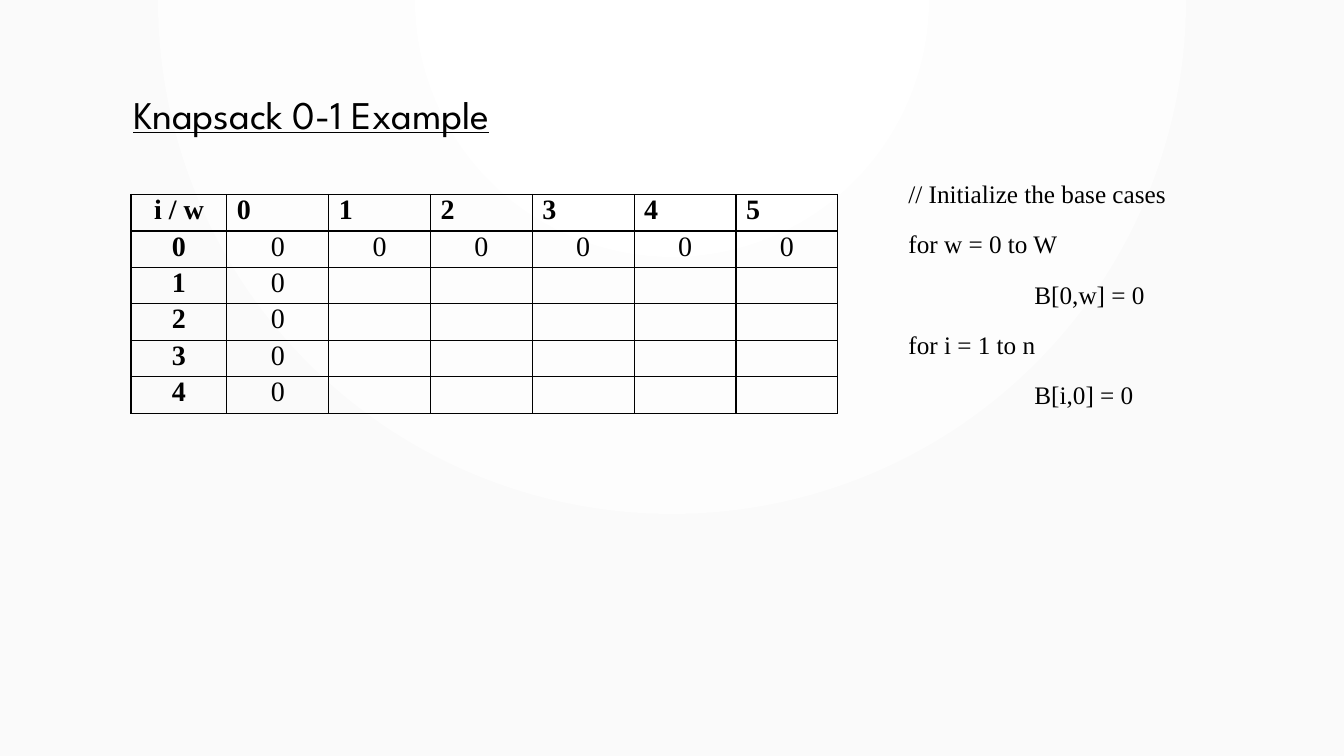
from lxml import etree
from pptx import Presentation
from pptx.dml.color import RGBColor
from pptx.enum.text import MSO_ANCHOR, MSO_AUTO_SIZE, PP_ALIGN
from pptx.oxml import parse_xml
from pptx.oxml.ns import nsdecls, qn
from pptx.util import Inches, Pt

COLORS = {"ink": "000000", "center": "FFFFFF", "edge": "FAFAFA"}
SERIF = "Times New Roman"
CAPACITIES = range(6)
ITEMS = range(5)
CODE = [
    ("// Initialize the base cases", False),
    ("for w = 0 to W", False),
    ("B[0,w] = 0", True),
    ("for i = 1 to n", False),
    ("B[i,0] = 0", True),
]


def write(para, text, font=SERIF, size=20, bold=False, underline=False,
          align=PP_ALIGN.LEFT, spacing=1.0):
    """Add one formatted run to a paragraph."""
    para.alignment = align
    para.line_spacing = spacing
    span = para.add_run()
    span.text = text
    span.font.name = font
    span.font.size = Pt(size)
    span.font.bold = bold
    span.font.underline = underline
    span.font.color.rgb = RGBColor.from_string(COLORS["ink"])


def place(box, left, top, width, height):
    """Position a placeholder and anchor its text at the top."""
    box.left, box.top = Inches(left), Inches(top)
    box.width, box.height = Inches(width), Inches(height)
    box.text_frame.word_wrap = True
    box.text_frame.auto_size = MSO_AUTO_SIZE.NONE
    box.text_frame.vertical_anchor = MSO_ANCHOR.TOP


def paint_background(page):
    """Fill the page with a radial gradient centred on its top edge."""
    fill = page.background.fill
    fill.solid()
    fill.fore_color.rgb = RGBColor.from_string(COLORS["edge"])
    solid = page.element.find(".//" + qn("p:bgPr")).find(qn("a:solidFill"))
    gradient = parse_xml(
        f'<a:gradFill {nsdecls("a")} rotWithShape="1"><a:gsLst>'
        f'<a:gs pos="0"><a:srgbClr val="{COLORS["center"]}"/></a:gs>'
        f'<a:gs pos="100000"><a:srgbClr val="{COLORS["edge"]}"/></a:gs>'
        '</a:gsLst><a:path path="circle">'
        '<a:fillToRect l="43000" t="0" r="43000" b="100000"/>'
        '</a:path></a:gradFill>')
    solid.getparent().replace(solid, gradient)


def style_cell(cell):
    """Give a cell no fill, tight margins and a thin border on each side."""
    cell.margin_left = cell.margin_right = Inches(0.1)
    cell.margin_top = cell.margin_bottom = 0
    properties = cell._tc.get_or_add_tcPr()
    for side in ("lnL", "lnR", "lnT", "lnB"):
        properties.append(parse_xml(
            f'<a:{side} {nsdecls("a")} w="{Pt(1)}"><a:solidFill>'
            f'<a:srgbClr val="{COLORS["ink"]}"/></a:solidFill></a:{side}>'))
    cell.fill.background()


def add_title(page):
    title = page.shapes.title
    place(title, 1.22, 0.9, 10.94, 1.25)
    write(title.text_frame.paragraphs[0], "Knapsack 0-1 Example",
          font="League Spartan", size=28, underline=True, spacing=0.9)


def add_base_case_table(page):
    rows = [["i / w", *CAPACITIES]]
    for item in ITEMS:
        rows.append([item] + [0 if item == 0 or w == 0 else ""
                              for w in CAPACITIES])
    table = page.shapes.add_table(
        len(rows), len(rows[0]), Inches(1.3), Inches(1.93),
        Inches(7), Inches(2.17)).table
    table.first_row = table.horz_banding = False
    for index, column in enumerate(table.columns):
        column.width = Inches(1.01 if index else 0.95)
    for r, values in enumerate(rows):
        for c, value in enumerate(values):
            cell = table.cell(r, c)
            style_cell(cell)
            if value != "":
                is_capacity = r == 0 and c > 0
                write(cell.text_frame.paragraphs[0], str(value),
                      bold=r == 0 or c == 0,
                      align=PP_ALIGN.LEFT if is_capacity else PP_ALIGN.CENTER)


def add_code(page):
    body = page.placeholders[1]
    place(body, 8.91, 1.66, 4.43, 2.83)
    frame = body.text_frame
    for index, (line, nested) in enumerate(CODE):
        para = frame.add_paragraph() if index else frame.paragraphs[0]
        write(para, line, size=18, spacing=1.2)
        para.space_before = Pt(10)
        properties = para._p.get_or_add_pPr()
        properties.set("marL", str(Inches(1.25 if nested else 0.25)))
        properties.set("indent", str(Inches(0 if nested else -0.25)))
        etree.SubElement(properties, qn("a:buNone"))


def main():
    deck = Presentation()
    deck.slide_width, deck.slide_height = Inches(13.33), Inches(7.5)
    page = deck.slides.add_slide(deck.slide_layouts[1])
    paint_background(page)
    add_title(page)
    add_base_case_table(page)
    add_code(page)
    deck.save("out.pptx")


if __name__ == "__main__":
    main()
